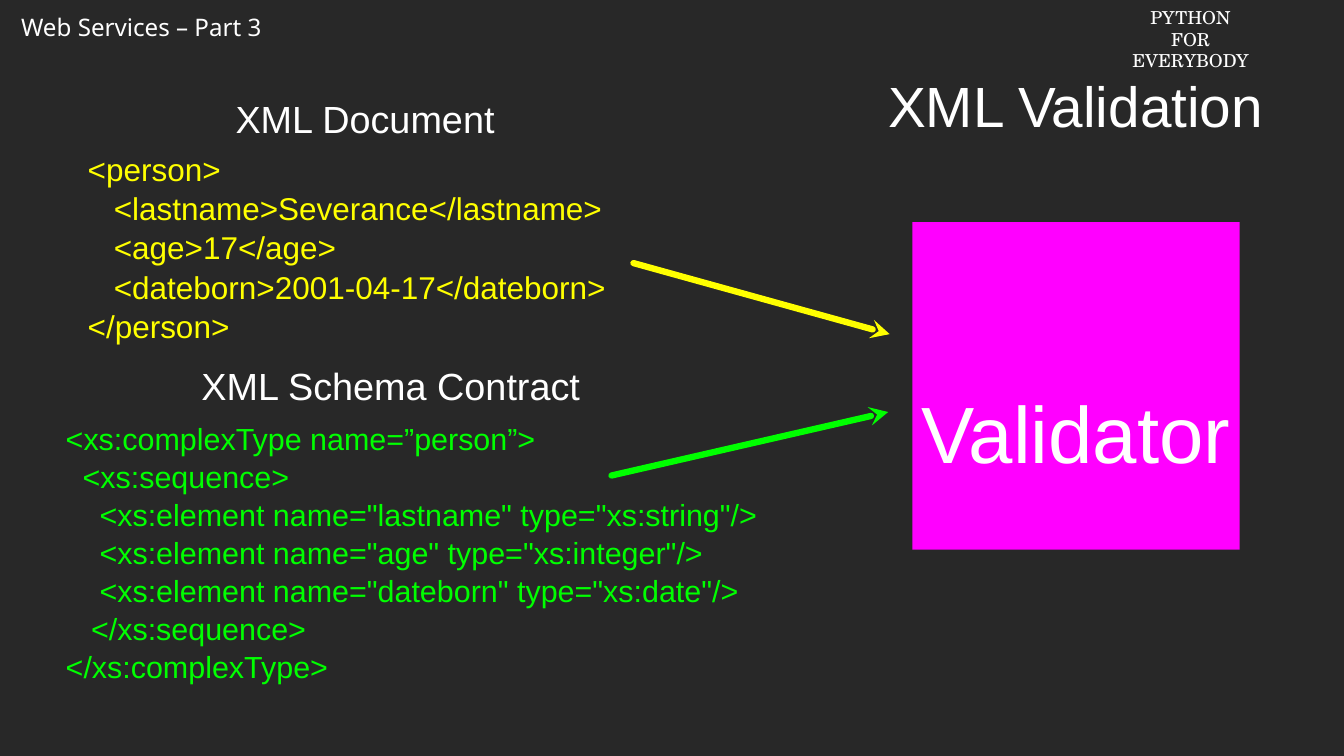
from lxml.etree import SubElement
from pptx import Presentation
from pptx.dml.color import RGBColor
from pptx.enum.shapes import MSO_CONNECTOR, MSO_SHAPE
from pptx.enum.text import MSO_ANCHOR as Anchor, MSO_AUTO_SIZE as AutoSize, PP_ALIGN as Align
from pptx.oxml.ns import qn
from pptx.util import Inches, Pt

WHITE, YELLOW, GREEN = "FFFFFF", "FFFF00", "00FF00"
MAGENTA, BACKGROUND = "FF00FF", "282828"

XML_DOCUMENT = """<person>
   <lastname>Severance</lastname>
   <age>17</age>
   <dateborn>2001-04-17</dateborn>
</person>"""

XML_SCHEMA = """<xs:complexType name=”person”>
  <xs:sequence>
    <xs:element name="lastname" type="xs:string"/>
    <xs:element name="age" type="xs:integer"/>
    <xs:element name="dateborn" type="xs:date"/>
   </xs:sequence>
</xs:complexType>"""

TITLE = ("XML Validation", (11.56, 0.83, 5.34, 1.1))
VALIDATOR = ("Validator", (12.07, 2.94, 4.33, 4.33))
LABEL_DROP = 1.21  # one line of the validator's label

# text, (left, top, width, height), size, colour
HEADINGS = [
    ("XML Document", (2.63, 1.22, 4.4, 0.68), 36, WHITE),
    ("XML Schema Contract", (2.63, 4.76, 5.08, 0.68), 36, WHITE),
]
CODE = [
    (XML_DOCUMENT, (1.16, 1.99, 6.92, 2.54), 30, YELLOW),
    (XML_SCHEMA, (0.87, 5.51, 9.7, 3.57), 29, GREEN),
]
# tip at the validator, far end at the code, colour
ARROWS = [
    ((11.77, 4.42), (8.38, 3.48), YELLOW),
    ((11.75, 5.45), (8.09, 6.29), GREEN),
]


def rgb(colour):
    return RGBColor.from_string(colour)


def inches(values):
    return [Inches(value) for value in values]


def write(shape, text, size, colour=WHITE, font="Arial", align=Align.CENTER,
          anchor=Anchor.MIDDLE, insets=(0, 0, 0, 0), wrap=True, spacing=None):
    """Fill a shape with one paragraph per line of text."""
    frame = shape.text_frame
    frame.text = text
    frame.word_wrap = wrap
    frame.auto_size = AutoSize.NONE
    frame.vertical_anchor = anchor
    (frame.margin_left, frame.margin_top,
     frame.margin_right, frame.margin_bottom) = inches(insets)
    for paragraph in frame.paragraphs:
        paragraph.alignment = align
        paragraph.line_spacing = spacing
        paragraph.font.name = font
        paragraph.font.size = Pt(size)
        paragraph.font.color.rgb = rgb(colour)


def add_text(slide, text, box, size, colour=WHITE, **style):
    write(slide.shapes.add_textbox(*inches(box)), text, size, colour, **style)


def add_arrow(slide, tip, end, colour):
    arrow = slide.shapes.add_connector(MSO_CONNECTOR.STRAIGHT, *inches(tip + end))
    arrow.line.color.rgb = rgb(colour)
    arrow.line.width = Pt(6)
    line = arrow.line._get_or_add_ln()
    line.set("cap", "rnd")
    SubElement(line, qn("a:headEnd"), type="stealth")
    SubElement(arrow._element.spPr, qn("a:effectLst"))


def main():
    presentation = Presentation()
    presentation.slide_width, presentation.slide_height = inches((17.78, 10))
    slide = presentation.slides.add_slide(presentation.slide_layouts[5])
    slide.background.fill.solid()
    slide.background.fill.fore_color.rgb = rgb(BACKGROUND)

    title_text, title_box = TITLE
    title = slide.shapes.title
    title.left, title.top, title.width, title.height = inches(title_box)
    write(title, title_text, 54)

    add_text(slide, "Web Services – Part 3", (0.18, 0.12, 3.5, 0.49), 23,
             font="Noto Sans", align=Align.LEFT, anchor=Anchor.TOP,
             insets=(0.1, 0.05, 0.1, 0.05), wrap=False)
    add_text(slide, "PYTHON FOR\nEVERYBODY", (14.88, 0.04, 1.74, 0.67), 17,
             font="TeX Gyre Schola", anchor=Anchor.TOP,
             insets=(0.08, 0.05, 0.08, 0.05))

    validator_text, validator_box = VALIDATOR
    validator = slide.shapes.add_shape(MSO_SHAPE.RECTANGLE, *inches(validator_box))
    validator.shadow.inherit = False
    validator.fill.solid()
    validator.fill.fore_color.rgb = rgb(MAGENTA)
    validator.line.fill.background()
    write(validator, validator_text, 76, insets=(0, LABEL_DROP, 0, 0))

    for heading in HEADINGS:
        add_text(slide, *heading)
    for listing in CODE:
        add_text(slide, *listing, align=Align.LEFT, spacing=1.04)
    for arrow in ARROWS:
        add_arrow(slide, *arrow)

    presentation.save("out.pptx")


if __name__ == "__main__":
    main()
